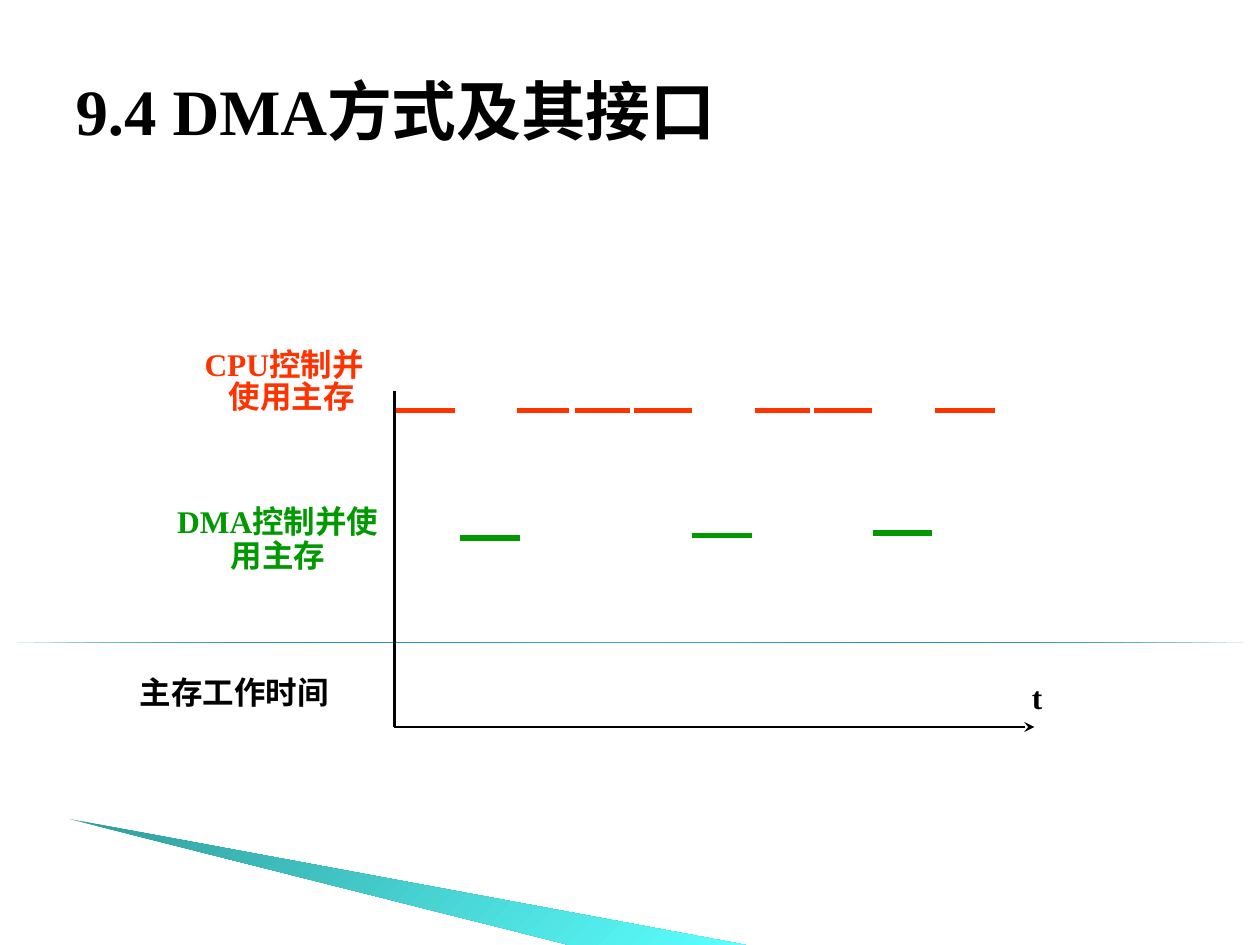
from typing import NamedTuple

import pptx
import pptx.dml.color
import pptx.enum.shapes
import pptx.enum.text
import pptx.oxml
import pptx.oxml.ns
import pptx.util
from pptx.util import Inches

FONT = "Times New Roman"
BLACK, RED, GREEN = "000000", "FF3300", "009900"
ALIGN = pptx.enum.text.PP_ALIGN
ANCHOR = pptx.enum.text.MSO_ANCHOR
SHAPE = pptx.enum.shapes.MSO_SHAPE
NS = pptx.oxml.ns.nsdecls("a")


class Period(NamedTuple):
    start: float
    end: float
    y: float
    color: str


class Label(NamedTuple):
    lines: tuple[str, ...]
    left: float
    top: float
    width: float
    height: float
    color: str
    align: ALIGN = ALIGN.LEFT
    spacing: float = 1.0


CPU_Y = 3.26
CPU_SPANS = [(3.13, 3.61), (4.1, 4.52), (4.56, 5), (5.03, 5.49),
             (5.99, 6.43), (6.46, 6.92), (7.42, 7.9)]
PERIODS = [Period(a, b, CPU_Y, RED) for a, b in CPU_SPANS] + [
    Period(3.65, 4.13, 4.27, GREEN),
    Period(5.49, 5.97, 4.25, GREEN),
    Period(6.93, 7.4, 4.23, GREEN),
]
LABELS = [
    Label(("CPU控制并", "使用主存"), 1.3, 2.69, 1.91, 0.62, RED, ALIGN.CENTER),
    Label(("DMA控制并使用主存",), 1.25, 3.97, 1.91, 0.64, GREEN, ALIGN.CENTER, 0.9),
    Label(("主存工作时间",), 1.01, 5.29, 2.22, 0.4, BLACK),
    Label(("t",), 8.09, 5.33, 0.79, 0.4, BLACK),
]


def rgb(value: str) -> pptx.dml.color.RGBColor:
    return pptx.dml.color.RGBColor.from_string(value)


def style_text(p, size: float, color: str) -> None:
    for r in p.runs:
        r.font.name = FONT
        r.font.size = pptx.util.Pt(size)
        r.font.bold = True
        r.font.color.rgb = rgb(color)


def fill_gradient(sp, stops: list[tuple[int, str]], angle: float) -> None:
    sp.shadow.inherit = False
    sp.line.fill.background()
    sp.fill.gradient()
    sp.fill.gradient_angle = 360 - angle
    gs_list = sp.element.spPr.find(".//" + pptx.oxml.ns.qn("a:gsLst"))
    for gs in list(gs_list):
        gs_list.remove(gs)
    for pos, color in stops:
        gs_list.append(pptx.oxml.parse_xml(
            f'<a:gs {NS} pos="{pos * 1000}"><a:srgbClr val="{color}"/></a:gs>'))


def add_line(s, x1: float, y1: float, x2: float, y2: float,
             color: str, width: float, arrow: bool = False) -> None:
    line = s.shapes.add_connector(
        pptx.enum.shapes.MSO_CONNECTOR.STRAIGHT,
        Inches(x1), Inches(y1), Inches(x2), Inches(y2))
    line.line.color.rgb = rgb(color)
    line.line.width = pptx.util.Pt(width)
    if arrow:
        line.line._get_or_add_ln().append(
            pptx.oxml.parse_xml(f'<a:tailEnd {NS} type="stealth"/>'))
    line.element.spPr.append(pptx.oxml.parse_xml(f"<a:effectLst {NS}/>"))


def add_label(s, label: Label) -> None:
    sp = s.shapes.add_textbox(Inches(label.left), Inches(label.top),
                              Inches(label.width), Inches(label.height))
    tf = sp.text_frame
    tf.word_wrap = True
    tf.text = "\n".join(label.lines)
    for i, p in enumerate(tf.paragraphs):
        p.alignment = label.align
        p.line_spacing = label.spacing
        if i:
            p.line_spacing = 0.2
            p.space_before = pptx.util.Pt(11.2)
            p._p.get_or_add_pPr().set("marL", str(Inches(0.12)))
        style_text(p, 18, label.color)


def add_decoration(s) -> None:
    sp = s.shapes.add_shape(SHAPE.RIGHT_TRIANGLE, Inches(0), Inches(5.1),
                            Inches(10), Inches(0))
    fill_gradient(sp, [(0, "007897"), (50, "4ABBE0"), (100, "007897")], 50)
    builder = s.shapes.build_freeform(Inches(0.55), Inches(6.5))
    builder.add_line_segments([(Inches(5.92), Inches(7.5)),
                               (Inches(4.52), Inches(7.5))], close=True)
    fill_gradient(builder.convert_to_shape(), [(0, "319C9C"), (100, "5BFFFF")], 45)


def add_title(s, text: str) -> None:
    sp = s.shapes.title
    sp.left, sp.top = Inches(0.5), Inches(0.3)
    sp.width, sp.height = Inches(9), Inches(1.25)
    tf = sp.text_frame
    tf.text = text
    tf.auto_size = pptx.enum.text.MSO_AUTO_SIZE.NONE
    tf.vertical_anchor = ANCHOR.MIDDLE
    p = tf.paragraphs[0]
    p.alignment = ALIGN.JUSTIFY
    p.line_spacing = 0.8
    style_text(p, 37, BLACK)


def main() -> None:
    prs = pptx.Presentation()
    prs.slide_width, prs.slide_height = Inches(10), Inches(7.5)
    s = prs.slides.add_slide(prs.slide_layouts[5])
    add_decoration(s)
    add_title(s, "9.4 DMA方式及其接口")
    for period in PERIODS:
        add_line(s, period.start, period.y, period.end, period.y, period.color, 3)
    add_line(s, 3.13, 5.77, 8.21, 5.77, BLACK, 1.5, arrow=True)
    add_line(s, 3.13, 3.1, 3.13, 5.77, BLACK, 1.5)
    for label in LABELS:
        add_label(s, label)
    prs.save("out.pptx")


if __name__ == "__main__":
    main()
